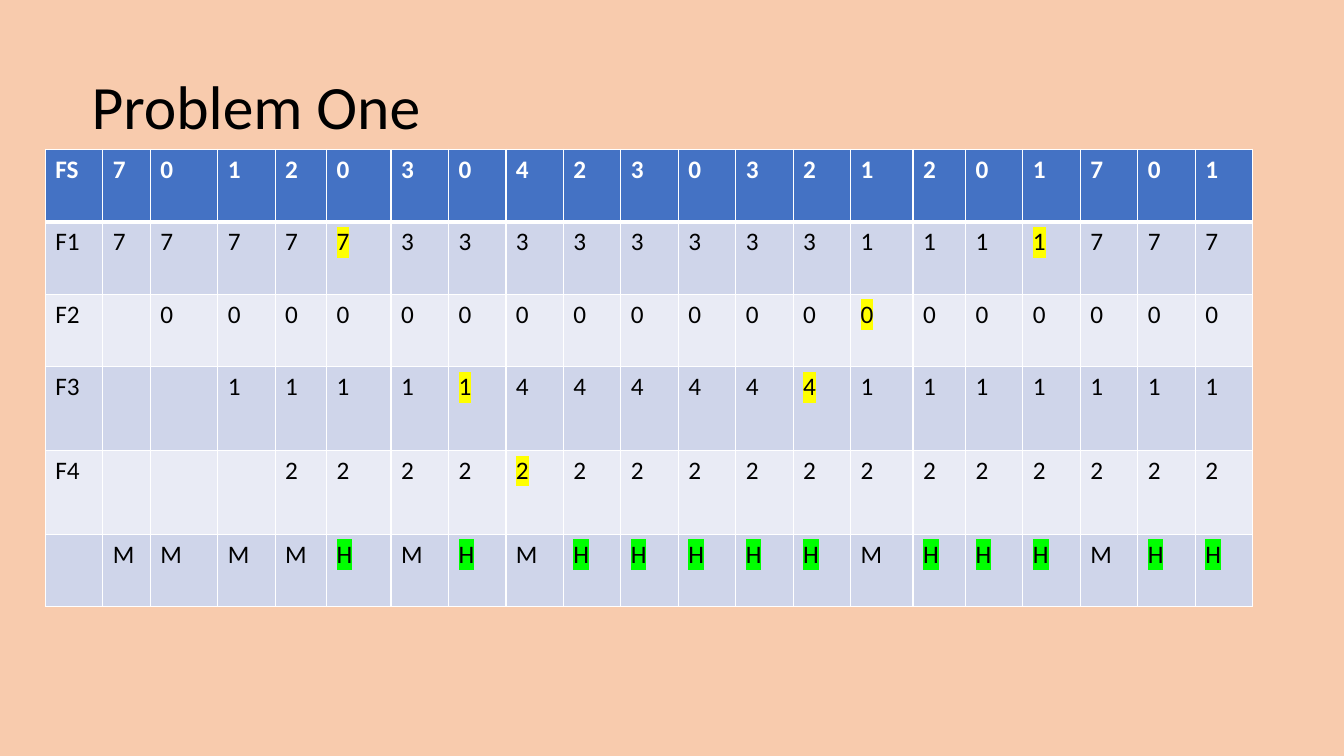
from dataclasses import dataclass

from lxml import etree
from pptx import Presentation
from pptx import util as u
from pptx.dml.color import RGBColor
from pptx.enum import text
from pptx.oxml.ns import qn


@dataclass(frozen=True)
class Theme:
    """Colours, font and type sizes of the slide."""
    font: str = "Calibri"
    title_size: int = 44
    cell_size: int = 18
    background: str = "F8CBAD"
    ink: str = "000000"
    header_ink: str = "FFFFFF"
    header: str = "4472C4"
    bands: tuple = ("E9EBF5", "CFD5EA")
    border: str = "FFFFFF"
    evicted: str = "FFFF00"
    hit: str = "00FF00"


THEME = Theme()
SLIDE_SIZE = (13.33, 7.5)
TITLE_BOX = (0.81, 0.36, 11.5, 1.45)
TRACE_ORIGIN = (0.45, 1.48)
COLUMN_WIDTH = 0.57
WIDTH_EXCEPTIONS = {1: 0.47, 2: 0.67, 4: 0.51, 5: 0.64, 14: 0.62, 15: 0.52}
ROW_HEIGHTS = (0.72, 0.72, 0.72, 0.83, 0.83, 0.72)
TRACE = (
    ("FS", "70120304230321201701"),
    ("F1", "77777333333331111777"),
    ("F2", " 0000000000000000000"),
    ("F3", "  111114444441111111"),
    ("F4", "   22222222222222222"),
    ("", "MMMMHMHMHHHHHMHHHMHH"),
)
EVICTIONS = {(1, 5), (1, 17), (2, 14), (3, 7), (3, 13), (4, 8)}


def style_run(run, size, ink, bold=False, highlight=None):
    """Format a run and optionally put a highlight behind it."""
    for name, value in {"name": THEME.font, "size": u.Pt(size), "bold": bold}.items():
        setattr(run.font, name, value)
    run.font.color.rgb = RGBColor.from_string(ink)
    if highlight:
        mark = etree.Element(qn("a:highlight"))
        etree.SubElement(mark, qn("a:srgbClr"), val=highlight)
        run.font._element.find(qn("a:solidFill")).addnext(mark)


def set_borders(cell, widths):
    """Draw the four cell borders with the given widths in points."""
    properties = cell._tc.get_or_add_tcPr()
    for side, width in widths.items():
        line = etree.SubElement(properties, qn(f"a:ln{side}"), w=str(u.Pt(width)))
        fill = etree.SubElement(line, qn("a:solidFill"))
        etree.SubElement(fill, qn("a:srgbClr"), val=THEME.border)


def add_title(slide, box, wording):
    """Place the heading, vertically centred in its box."""
    frame = slide.shapes.add_textbox(*map(u.Inches, box)).text_frame
    frame.word_wrap = True
    frame.vertical_anchor = text.MSO_ANCHOR.MIDDLE
    heading = frame.paragraphs[0]
    heading.line_spacing = 0.9
    run = heading.add_run()
    run.text = wording
    style_run(run, THEME.title_size, THEME.ink)


def fill_cell(cell, row, column, wording):
    """Set one trace cell's borders, band colour and wording."""
    is_header = row == 0
    set_borders(cell, {"L": 1, "R": 1, "T": 3 if row == 1 else 1,
                       "B": 3 if is_header else 1})
    cell.fill.solid()
    band = THEME.header if is_header else THEME.bands[row % 2]
    cell.fill.fore_color.rgb = RGBColor.from_string(band)
    if not wording.strip():
        return
    highlight = THEME.hit if wording == "H" else None
    if (row, column) in EVICTIONS:
        highlight = THEME.evicted
    run = cell.text_frame.paragraphs[0].add_run()
    run.text = wording
    ink = THEME.header_ink if is_header else THEME.ink
    style_run(run, THEME.cell_size, ink, is_header, highlight)


def add_trace(slide, origin):
    """Build the page replacement table from its top left corner."""
    widths = [WIDTH_EXCEPTIONS.get(column, COLUMN_WIDTH)
              for column in range(1 + len(TRACE[0][1]))]
    box = (*origin, sum(widths), sum(ROW_HEIGHTS))
    table = slide.shapes.add_table(len(TRACE), len(widths), *map(u.Inches, box)).table
    for column, width in zip(table.columns, widths):
        column.width = u.Inches(width)
    for row, height in zip(table.rows, ROW_HEIGHTS):
        row.height = u.Inches(height)
    for row, (label, pages) in enumerate(TRACE):
        for column, wording in enumerate((label, *pages)):
            fill_cell(table.cell(row, column), row, column, wording)


def main():
    """Create the slide and save it."""
    deck = Presentation()
    deck.slide_width, deck.slide_height = map(u.Inches, SLIDE_SIZE)
    slide = deck.slides.add_slide(deck.slide_layouts[6])
    slide.background.fill.solid()
    slide.background.fill.fore_color.rgb = RGBColor.from_string(THEME.background)
    add_title(slide, TITLE_BOX, "Problem One")
    add_trace(slide, TRACE_ORIGIN)
    deck.save("out.pptx")


if __name__ == "__main__":
    main()
